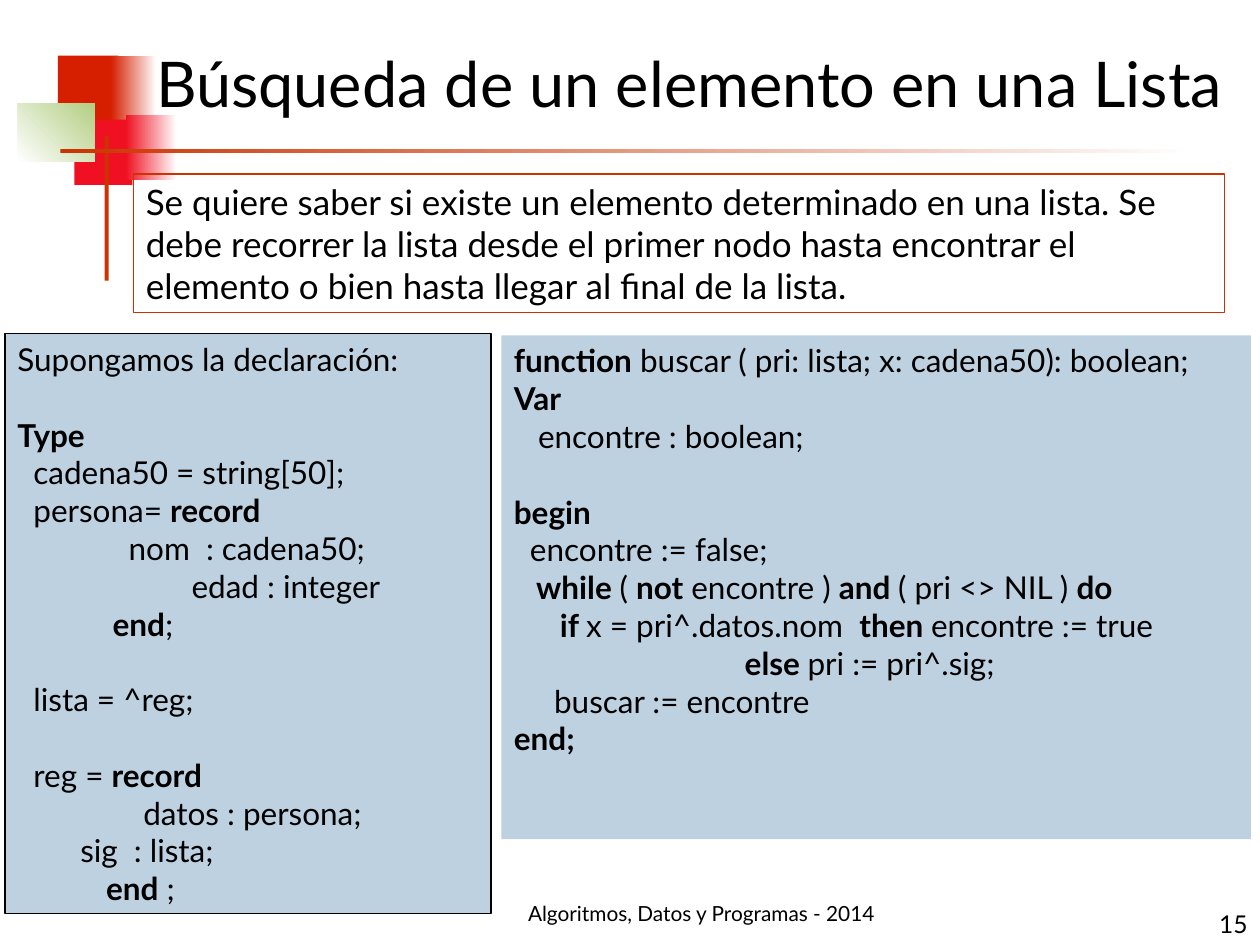
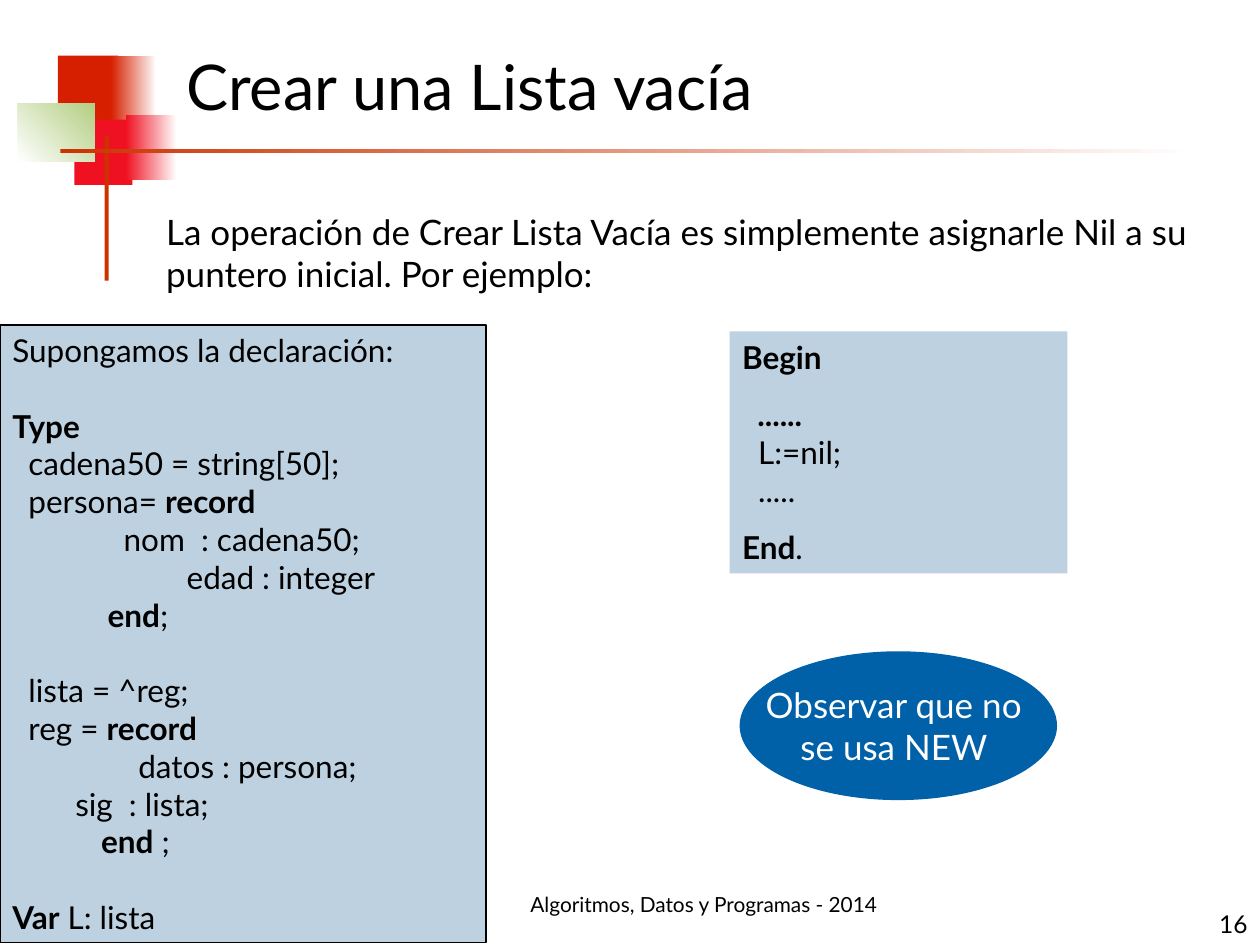
from pptx import Presentation
from pptx.dml.color import RGBColor
from pptx.enum.shapes import MSO_SHAPE
from pptx.enum.text import MSO_ANCHOR, PP_ALIGN
from pptx.util import Cm, Pt

BLACK = RGBColor(0x00, 0x00, 0x00)
WHITE = RGBColor(0xFF, 0xFF, 0xFF)
BRICK = RGBColor(0xD6, 0x1F, 0x00)
RED = RGBColor(0xEF, 0x11, 0x21)
GREEN = RGBColor(0xB3, 0xCE, 0x82)
RUST = RGBColor(0xCC, 0x33, 0x00)
PALE_BLUE = RGBColor(0xBE, 0xD1, 0xE0)
DEEP_BLUE = RGBColor(0x00, 0x60, 0xA8)

FONT = "Lato"
CODE_LINE = Pt(21.6)

# Text formats: size, colour, vertical anchor and paragraph settings
LEFT = {"alignment": PP_ALIGN.LEFT}
TITLE = {"size": 36, "anchor": MSO_ANCHOR.BOTTOM, "paragraph": LEFT}
BODY = {"size": 20, "paragraph": LEFT}
CODE = {"size": 18, "paragraph": LEFT}
NOTE = {"size": 20, "color": WHITE, "anchor": MSO_ANCHOR.MIDDLE, "wrap": False,
        "paragraph": {"alignment": PP_ALIGN.CENTER}}
FOOTER = {"size": 11.9, "anchor": MSO_ANCHOR.BOTTOM,
          "paragraph": {"alignment": PP_ALIGN.CENTER, "line_spacing": 0.9}}
NUMBER = {"size": 14, "anchor": MSO_ANCHOR.BOTTOM,
          "paragraph": {"alignment": PP_ALIGN.RIGHT}}

# Corner decoration: box in cm, colours (two make a gradient), angle
DECORATION = [
    ((1.17, 1.12, 1.22, 1.32), [BRICK], 0),
    ((2.24, 1.12, 0.91, 1.32), [BRICK, WHITE], 0),
    ((1.5, 2.41, 1.17, 1.32), [RED], 0),
    ((2.54, 2.31, 1.02, 1.32), [RED, WHITE], 0),
    ((0.36, 2.08, 1.55, 1.17), [WHITE, GREEN], 45),
    ((2.11, 2.74, 0.08, 2.92), [RUST], 0),
    ((1.22, 3, 22.86, 0.08), [RUST, WHITE], 0),
]

# Code: asterisks enclose bold text, an empty entry opens a gap of one line
TYPES = [
    "Supongamos la declaración:",
    "",
    "*Type*",
    "  cadena50 = string[50];",
    "  persona= *record*",
    " \t      nom  : cadena50;",
    "           \t      edad : integer",
    "\t    *end*;",
    "",
    "  lista = ^reg;",
]
NODE = [
    "  reg = *record*",
    "            \tdatos : persona;",
    "\tsig  : lista;",
    "           *end* ;",
]
SEARCH = [
    "*function* buscar ( pri: lista; x: cadena50): boolean;",
    "*Var*",
    "   encontre : boolean;",
    "",
    "*begin*",
    "  encontre := false;",
    "*   while *( *not* encontre ) *and *( pri <> NIL ) *do*",
    "*      if *x = pri^.datos.nom  *then *encontre := true",
    "\t\t             *else *pri := pri^.sig;",
    "     buscar := encontre",
    "*end;*",
]
EMPTY_LIST = ["*Begin*", "", "*  ......*", "  L:=nil;", "  .....", "", "*End*."]

SLIDES = [
    {
        "title": ("Búsqueda de un elemento en una Lista", (2.9, 0.84, 22.5, 1.7)),
        "footer": (10.11, 17.53, 8.05, 1.27),
        "number": "15",
        "intro": ("Se quiere saber si existe un elemento determinado en una lista. "
                  "Se debe recorrer la lista desde el primer nodo hasta encontrar el "
                  "elemento o bien hasta llegar al final de la lista.",
                  (2.69, 3.51, 22, 2.79), RUST),
        "declaration": (TYPES + [""] + NODE, (0.1, 6.73, 9.8, 11.68)),
        "program": (SEARCH, (10.11, 6.76, 15.11, 10.16), CODE_LINE),
    },
    {
        "title": ("Crear una Lista vacía", (3.51, 0.91, 20.47, 1.7)),
        "footer": (10.16, 17.35, 8.05, 1.27),
        "number": "16",
        "intro": ("La operación de Crear Lista Vacía es simplemente asignarle Nil "
                  "a su puntero inicial. Por ejemplo:", (3.1, 4.11, 21.21, 1.96), None),
        "declaration": (TYPES + NODE + ["", "*Var* L: lista"], (0, 6.55, 9.8, 12.45)),
        "program": (EMPTY_LIST, (14.71, 6.68, 6.81, 4.88), Pt(11.2)),
        "note": (["Observar que no ", "se usa NEW "], (14.91, 13.13, 6.4, 3)),
    },
]


def add_shape(slide, box, colors, angle=0, line=None, kind=MSO_SHAPE.RECTANGLE):
    shape = slide.shapes.add_shape(kind, *map(Cm, box))
    shape.shadow.inherit = False
    if len(colors) == 2:
        shape.fill.gradient()
        shape.fill.gradient_angle = angle
        for stop, color in zip(shape.fill.gradient_stops, colors):
            stop.color.rgb = color
    elif colors:
        shape.fill.solid()
        shape.fill.fore_color.rgb = colors[0]
    else:
        shape.fill.background()
    if line is None:
        shape.line.fill.background()
    else:
        shape.line.color.rgb = line
        shape.line.width = Pt(0.75)
    return shape


def write(shape, lines, text_format, gap=CODE_LINE):
    frame = shape.text_frame
    frame.word_wrap = text_format.get("wrap", True)
    frame.vertical_anchor = text_format.get("anchor", MSO_ANCHOR.TOP)
    after_gap = False
    for index, line in enumerate(lines):
        if not line:
            after_gap = True
            continue
        paragraph = frame.add_paragraph() if index else frame.paragraphs[0]
        for name, value in text_format["paragraph"].items():
            setattr(paragraph, name, value)
        if after_gap:
            paragraph.space_before = gap
            after_gap = False
        for part, text in enumerate(line.split("*")):
            if text:
                run = paragraph.add_run()
                run.text = text
                run.font.color.rgb = text_format.get("color", BLACK)
                values = {"name": FONT, "size": Pt(text_format["size"]),
                          "bold": part % 2 == 1}
                for name, value in values.items():
                    setattr(run.font, name, value)


presentation = Presentation()
presentation.slide_width = Cm(25.4)
presentation.slide_height = Cm(19.05)

for content in SLIDES:
    slide = presentation.slides.add_slide(presentation.slide_layouts[6])

    # Corner decoration
    for box, colors, angle in DECORATION:
        add_shape(slide, box, colors, angle)

    # Footer, slide number and title
    title, title_box = content["title"]
    for text, box, text_format in [
        ("Algoritmos, Datos y Programas - 2014", content["footer"], FOOTER),
        (content["number"], (20.12, 17.78, 5.28, 1.27), NUMBER),
        (title, title_box, TITLE),
    ]:
        write(slide.shapes.add_textbox(*map(Cm, box)), [text], text_format)

    # Program and type declaration
    program, box, gap = content["program"]
    write(add_shape(slide, box, [PALE_BLUE]), program, CODE, gap)
    declaration, box = content["declaration"]
    write(add_shape(slide, box, [PALE_BLUE], line=BLACK), declaration, CODE)

    # Introduction
    intro, box, border = content["intro"]
    write(add_shape(slide, box, [], line=border), [intro], BODY)

    # Remark in an ellipse
    if "note" in content:
        note, box = content["note"]
        write(add_shape(slide, box, [DEEP_BLUE], kind=MSO_SHAPE.OVAL), note, NOTE)

presentation.save("out.pptx")
